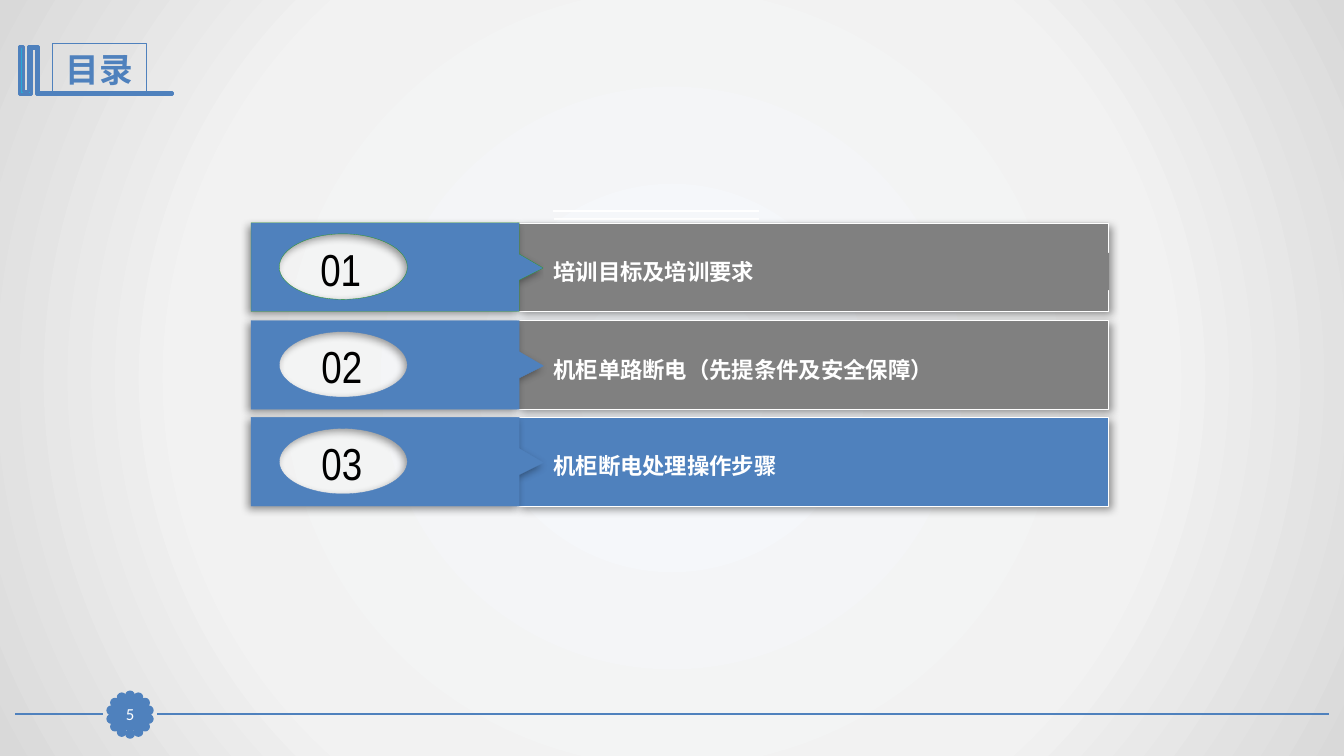
import math

from pptx import Presentation, util as u
from pptx.dml.color import RGBColor
from pptx.enum import shapes, text
from pptx.oxml import parse_xml
from pptx.oxml.ns import nsdecls, qn

BLUE, GREY, WHITE, BLACK = "4F81BD", "808080", "FFFFFF", "000000"


def paint(shape, fill, line, width=0, shadow_angle=None):
    """Set fill, outline and shadow; None leaves that part out."""
    if fill:
        shape.fill.solid()
        shape.fill.fore_color.rgb = RGBColor.from_string(fill)
    elif hasattr(shape, "fill"):
        shape.fill.background()
    if line:
        shape.line.color.rgb = RGBColor.from_string(line)
        shape.line.width = u.Pt(width)
    else:
        shape.line.fill.background()
    shadow = "" if shadow_angle is None else (
        f'<a:outerShdw blurRad="76200" dist="38100" dir="{shadow_angle * 60000}" algn="ctr" rotWithShape="0">'
        '<a:srgbClr val="000000"><a:alpha val="40000"/></a:srgbClr></a:outerShdw>')
    shape._element.spPr.append(parse_xml(f'<a:effectLst {nsdecls("a")}>{shadow}</a:effectLst>'))


def write(shape, words, color, align, anchor, frame_format=(), **font_format):
    frame = shape.text_frame
    frame.word_wrap = True
    frame.auto_size = text.MSO_AUTO_SIZE.NONE
    frame.vertical_anchor = anchor
    for name, value in dict(frame_format).items():
        setattr(frame, name, value)
    para = frame.paragraphs[0]
    para.alignment = align
    span = para.add_run()
    span.text = words
    span.font.color.rgb = RGBColor.from_string(color)
    for name, value in font_format.items():
        setattr(span.font, name, value)


deck = Presentation()
deck.slide_width, deck.slide_height = u.Inches(13.33), u.Inches(7.5)
page = deck.slides.add_slide(deck.slide_layouts[5])
parts = page.shapes
CENTER, LEFT = text.PP_ALIGN.CENTER, text.PP_ALIGN.LEFT
MIDDLE, TOP = text.MSO_ANCHOR.MIDDLE, text.MSO_ANCHOR.TOP
RECT, OVAL = shapes.MSO_SHAPE.RECTANGLE, shapes.MSO_SHAPE.OVAL

# Radial background
stops = "".join(f'<a:gs pos="{pos}000"><a:srgbClr val="{color}"/></a:gs>'
                for pos, color in [(0, "F6F9FC"), (63, "F2F2F2"), (100, "D9D9D9")])
page._element.find(qn("p:cSld")).insert(0, parse_xml(
    f'<p:bg {nsdecls("p", "a")}><p:bgPr><a:gradFill rotWithShape="1"><a:gsLst>{stops}</a:gsLst>'
    '<a:path path="circle"><a:fillToRect l="50000" t="50000" r="50000" b="50000"/></a:path>'
    '</a:gradFill><a:effectLst/></p:bgPr></p:bg>'))

# Footer rule on both sides of the badge, and the double rule above the agenda
for x1, x2, y, color, width in [(13.18, 1.56, 7.08, BLUE, 1.25), (1.02, 0.15, 7.08, BLUE, 1.25),
                                (5.48, 7.53, 2.09, WHITE, 1.5), (5.49, 7.53, 2.17, WHITE, 1.5)]:
    rule = parts.add_connector(shapes.MSO_CONNECTOR.STRAIGHT, *map(u.Inches, (x1, y, x2, y)))
    paint(rule, None, color, width)

# Scalloped page-number badge
PETALS, PETAL_SIZE, BADGE_RADIUS = 14, 0.07, 0.19
petals = parts.add_group_shape().shapes
for i in range(PETALS):
    angle = 2 * math.pi * i / PETALS
    x = 1.29 + BADGE_RADIUS * math.sin(angle) - PETAL_SIZE / 2
    y = 7.09 - BADGE_RADIUS * math.cos(angle) - PETAL_SIZE / 2
    petal = petals.add_shape(OVAL, *map(u.Inches, (x, y, PETAL_SIZE, PETAL_SIZE)))
    paint(petal, BLUE, BLUE, 2)
badge = parts.add_shape(RECT, *map(u.Inches, (1.13, 6.93, 0.32, 0.31)))
paint(badge, BLUE, BLUE, 0.75)
no_margins = dict.fromkeys(["margin_left", "margin_right", "margin_top", "margin_bottom"], 0)
write(badge, "5", WHITE, CENTER, MIDDLE, no_margins, size=u.Pt(12), name="Calibri")

# Title with its book-shaped bracket
bracket_points = [(0.37, 0.46), (0.38, 0.46), (0.38, 0.92), (1.71, 0.92), (1.71, 0.94), (0.37, 0.94),
                  (0.36, 0.94), (0.36, 0.48), (0.31, 0.48), (0.31, 0.94), (0.19, 0.94), (0.19, 0.46),
                  (0.23, 0.46), (0.23, 0.91), (0.28, 0.91), (0.28, 0.46)]
outline = [(u.Inches(x), u.Inches(y)) for x, y in bracket_points]
builder = parts.build_freeform(*outline[0])
builder.add_line_segments(outline[1:])
paint(builder.convert_to_shape(), "28A9D6", BLUE, 2)

title = parts.title
title.left, title.top, title.width, title.height = map(u.Inches, (0.52, 0.43, 0.93, 0.51))
paint(title, None, BLUE, 0.75)
write(title, "目录", BLUE, CENTER, MIDDLE, size=u.Pt(24), name="Arial Narrow", bold=True)

# Agenda rows: top, number, centre of number, topic, bar colour, tab outline, topic fill
agenda = [
    (2.21, "01", 3.38, "培训目标及培训要求", GREY, "339933", GREY),
    (3.18, "02", 3.39, "机柜单路断电（先提条件及安全保障）", GREY, BLUE, None),
    (4.14, "03", 3.39, "机柜断电处理操作步骤", BLUE, BLUE, None),
]
ARC_PULL = 0.55  # share of the way to the corner for a quarter-ellipse control point
for top, number, number_center, topic, bar_color, tab_line, topic_fill in agenda:
    row = parts.add_group_shape().shapes
    bar = row.add_shape(RECT, *map(u.Inches, (5.13, top, 5.86, 0.88)))
    paint(bar, bar_color, WHITE, 0.25, 45)

    hole = [(3.4, top + 0.11), (2.77, top + 0.44), (3.4, top + 0.76), (4.04, top + 0.44)]
    edge = [(2.49, top), (5.15, top), (5.15, top + 0.31), (5.39, top + 0.45),
            (5.15, top + 0.57), (5.15, top + 0.88), (2.49, top + 0.88)]
    hole, edge = ([(u.Inches(x), u.Inches(y)) for x, y in ring] for ring in (hole, edge))
    builder = row.build_freeform(*hole[0])
    builder.add_line_segments(hole[1:] + hole[:1])
    builder.move_to(*edge[0])
    builder.add_line_segments(edge[1:])
    tab = builder.convert_to_shape()

    # Round the hole: its four straight sides become quarter arcs
    sides = list(tab._element.iter(qn("a:lnTo")))[:4]
    start = tab._element.find(".//" + qn("a:moveTo"))
    corners = [(int(node[0].get("x")), int(node[0].get("y"))) for node in [start, *sides]]
    for i, side in enumerate(sides):
        (x1, y1), (x2, y2) = corners[i:i + 2]
        corner = (x2, y1) if i % 2 == 0 else (x1, y2)
        controls = [tuple(round(p + ARC_PULL * (c - p)) for p, c in zip(end, corner))
                    for end in ((x1, y1), (x2, y2))]
        points = "".join(f'<a:pt x="{x}" y="{y}"/>' for x, y in [*controls, (x2, y2)])
        arc = parse_xml(f'<a:cubicBezTo {nsdecls("a")}>{points}</a:cubicBezTo>')
        side.getparent().replace(side, arc)
    paint(tab, BLUE, tab_line, 0.25, 135)

    topic_box = row.add_textbox(*map(u.Inches, (5.39, top + 0.3, 5.61, 0.37)))
    paint(topic_box, topic_fill, None)
    write(topic_box, topic, WHITE, LEFT, TOP, size=u.Pt(16), name="Calibri", bold=True)
    number_box = row.add_textbox(*map(u.Inches, (number_center - 0.5, top + 0.13, 1, 0.64)))
    write(number_box, number, BLACK, CENTER, MIDDLE, size=u.Pt(32), name="Arial Narrow")

deck.save("out.pptx")
